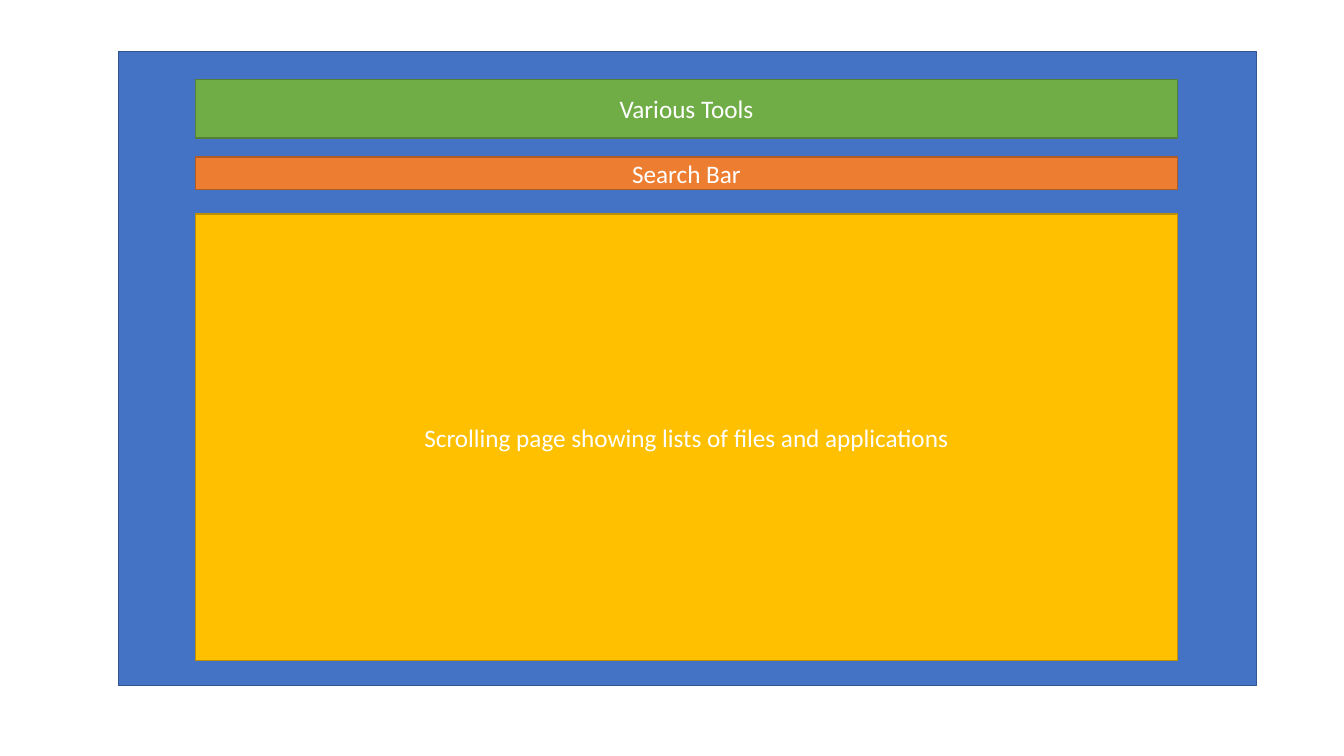
from pptx import Presentation
from pptx.dml.color import RGBColor
from pptx.enum.shapes import MSO_SHAPE
from pptx.enum.text import MSO_ANCHOR, PP_ALIGN
from pptx.util import Cm, Pt

WHITE = RGBColor(0xFF, 0xFF, 0xFF)
BLUE = RGBColor(0x44, 0x72, 0xC4)
DARK_BLUE = RGBColor(0x32, 0x54, 0x91)
GOLD = RGBColor(0xFF, 0xC0, 0x00)
DARK_GOLD = RGBColor(0xBD, 0x8E, 0x00)
ORANGE = RGBColor(0xED, 0x7D, 0x31)
DARK_ORANGE = RGBColor(0xAF, 0x5C, 0x24)
GREEN = RGBColor(0x70, 0xAD, 0x47)
DARK_GREEN = RGBColor(0x53, 0x80, 0x35)

PANEL_LEFT = 4.93
PANEL_WIDTH = 24.74


class Wireframe:
    font_name = "Calibri"
    font_size = Pt(18)
    line_width = Pt(1)

    def __init__(self, page):
        self.page = page

    def box(self, left, top, width, height, fill, line):
        box = self.page.shapes.add_shape(
            MSO_SHAPE.RECTANGLE, Cm(left), Cm(top), Cm(width), Cm(height)
        )
        box.shadow.inherit = False
        box.fill.solid()
        box.fill.fore_color.rgb = fill
        box.line.color.rgb = line
        box.line.width = self.line_width
        return box

    def panel(self, label, top, height, fill, line):
        box = self.box(PANEL_LEFT, top, PANEL_WIDTH, height, fill, line)
        frame = box.text_frame
        frame.word_wrap = True
        frame.vertical_anchor = MSO_ANCHOR.MIDDLE
        frame.text = label
        para = frame.paragraphs[0]
        para.alignment = PP_ALIGN.CENTER
        span = para.runs[0]
        span.font.name = self.font_name
        span.font.size = self.font_size
        span.font.color.rgb = WHITE


def main():
    deck = Presentation()
    deck.slide_width = Cm(33.87)
    deck.slide_height = Cm(19.05)
    page = deck.slides.add_slide(deck.slide_layouts[6])

    wireframe = Wireframe(page)
    wireframe.box(2.98, 1.3, 28.68, 15.98, BLUE, DARK_BLUE)
    wireframe.panel(
        "Scrolling page showing lists of files and applications",
        5.39, 11.25, GOLD, DARK_GOLD,
    )
    wireframe.panel("Search Bar", 3.96, 0.81, ORANGE, DARK_ORANGE)
    wireframe.panel("Various Tools", 2.01, 1.47, GREEN, DARK_GREEN)

    deck.save("out.pptx")


if __name__ == "__main__":
    main()
